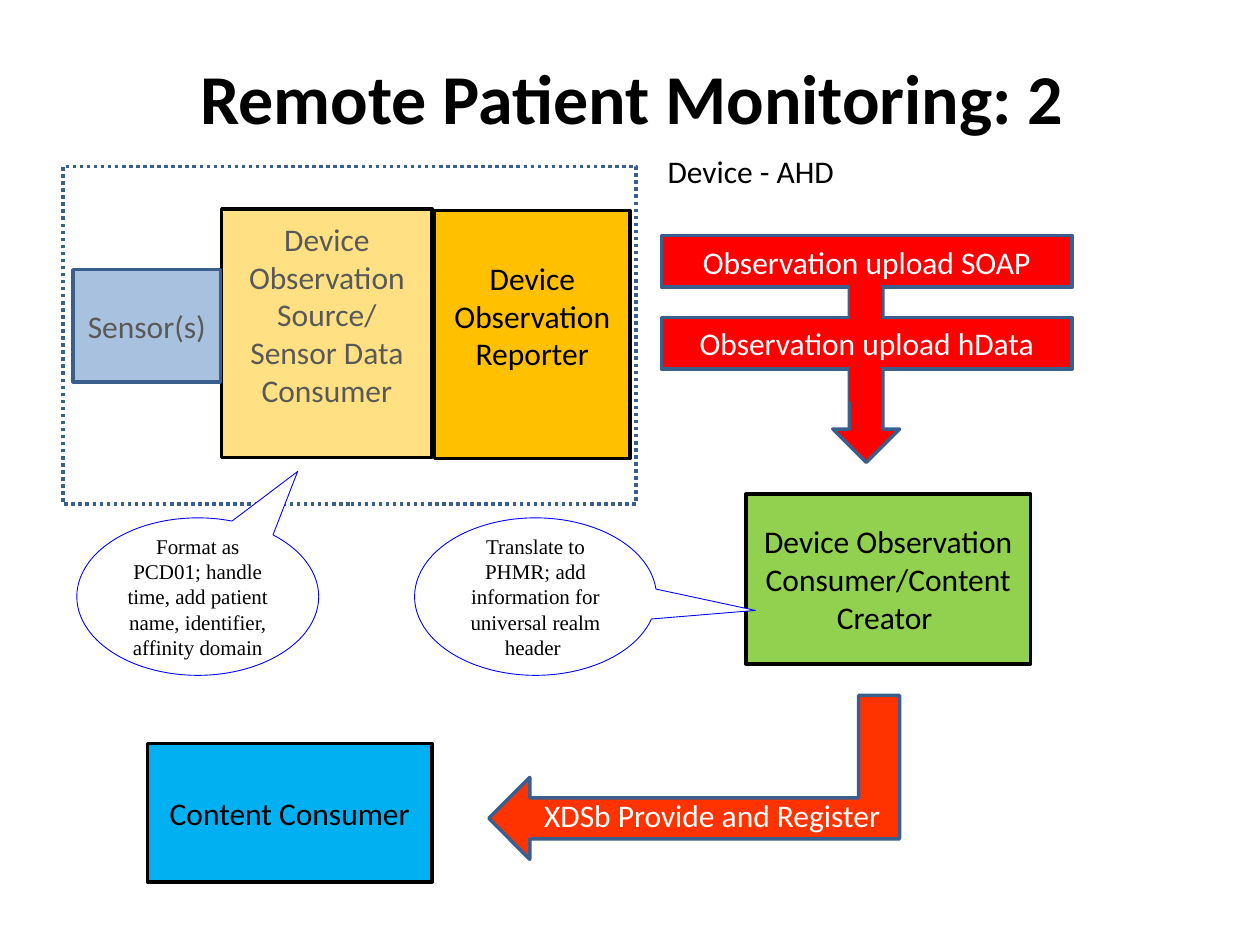
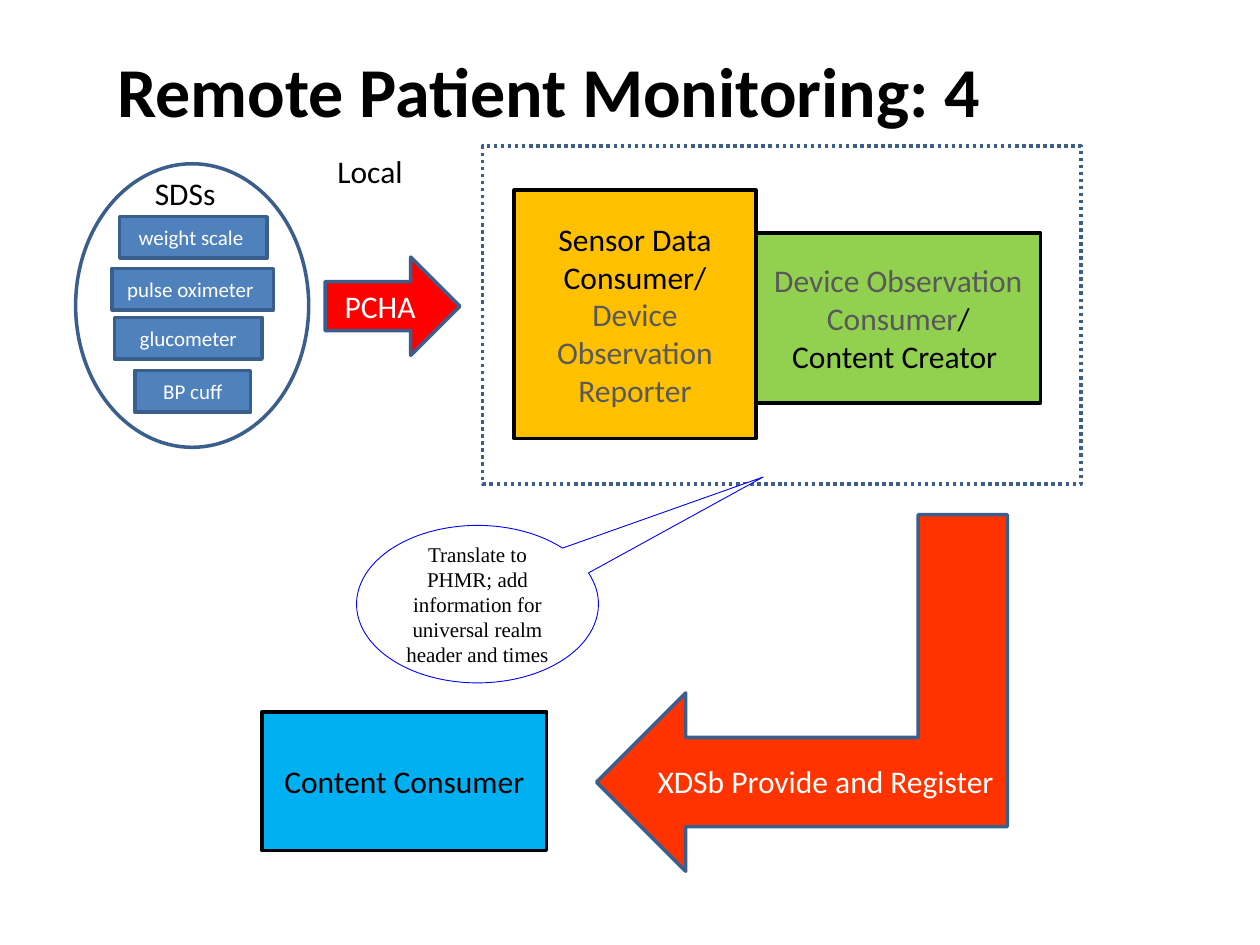
from pptx import Presentation
from pptx.dml.color import RGBColor
from pptx.enum.dml import MSO_LINE
from pptx.enum.shapes import MSO_SHAPE as KIND
from pptx.enum.text import MSO_ANCHOR, MSO_AUTO_SIZE, PP_ALIGN
from pptx.oxml.ns import qn
from pptx.util import Emu, Pt
from lxml.etree import SubElement

SCALE = 9144  # 100 px to the inch
BLACK, WHITE, GREY = "000000", "FFFFFF", "595959"
AMBER, GREEN, CYAN = "FFC000", "92D050", "00B0F0"
RED, FLAME, BLUE = "FF0000", "FF3300", "4F81BD"
EDGE, INK = "3A5F8C", "0000FF"
SANS, SERIF = "Calibri", "Times New Roman"
BENT = "XDSb Provide and Register"


def px(num):
    return Emu(num * SCALE)


def rgb(code):
    return RGBColor.from_string(code)


class Deck:
    def __init__(self):
        self.prs = Presentation()
        self.prs.slide_width, self.prs.slide_height = px(1000), px(750)
        self.slide = None

    def place(self, item, box):
        item.left, item.top, item.width, item.height = map(px, box)

    def style(self, para, size, color, font=SANS, bold=False):
        para.font.size, para.font.name, para.font.bold = Pt(size), font, bold
        if color:
            para.font.color.rgb = rgb(color)

    def title(self, text, box):
        layout = self.prs.slide_layouts[5]
        self.slide = self.prs.slides.add_slide(layout)
        head = self.slide.shapes.title
        self.place(head, box)
        frame = head.text_frame
        frame.text = text
        frame.word_wrap = False
        frame.auto_size = MSO_AUTO_SIZE.NONE
        frame.vertical_anchor = MSO_ANCHOR.TOP
        frame.paragraphs[0].alignment = PP_ALIGN.LEFT
        self.style(frame.paragraphs[0], 40, BLACK, bold=True)

    def label(self, text, box, color=BLACK):
        frame = self.slide.shapes.add_textbox(*map(px, box)).text_frame
        frame.word_wrap = False
        frame.text = text
        self.style(frame.paragraphs[0], 18, color)

    def shape(self, kind, box, fill=None, line=EDGE, width=2, alpha=None):
        item = self.slide.shapes.add_shape(kind, *map(px, box))
        item.shadow.inherit = False
        item.line.color.rgb = rgb(line)
        item.line.width = Pt(width)
        if fill is None:
            item.fill.background()
            return item
        item.fill.solid()
        item.fill.fore_color.rgb = rgb(fill)
        if alpha:
            tone = item._element.spPr.find(qn("a:solidFill"))[0]
            SubElement(tone, qn("a:alpha")).set("val", str(alpha * 1000))
        return item

    def letter(self, item, paras, color=BLACK, size=18, font=SANS, foot=5):
        """Each paragraph is a string or a list of (text, colour) runs."""
        frame = item.text_frame
        frame.word_wrap = True
        frame.vertical_anchor = MSO_ANCHOR.MIDDLE
        frame.margin_bottom = px(foot)
        for i, part in enumerate(paras):
            para = frame.add_paragraph() if i else frame.paragraphs[0]
            para.alignment = PP_ALIGN.CENTER
            if isinstance(part, str):
                para.add_run().text = part
                self.style(para, size, color, font)
                continue
            self.style(para, size, None, font)
            for text, tint in part:
                run = para.add_run()
                run.text = text
                run.font.color.rgb = rgb(tint)

    def block(self, paras, box, fill, line=BLACK, alpha=None, **text):
        item = self.shape(KIND.RECTANGLE, box, fill, line, alpha=alpha)
        self.letter(item, paras, **text)

    def frame(self, box):
        self.shape(KIND.RECTANGLE, box).line.dash_style = MSO_LINE.ROUND_DOT

    def bubble(self, text, left, top, tip):
        item = self.shape(KIND.OVAL_CALLOUT, (left, top, 192, 125),
                          WHITE, INK, 0.5)
        item.adjustments[0], item.adjustments[1] = tip
        self.letter(item, [text], size=12, font=SERIF)

    def bend(self, box):
        item = self.shape(KIND.BENT_UP_ARROW, box, FLAME)
        item.rotation = 90
        item._element.spPr.find(qn("a:xfrm")).set("flipV", "1")


def upload(deck):
    deck.title("Remote Patient Monitoring: 2", (149, 38, 713, 77))
    # Device parts
    deck.block(["Device Observation Source/", "Sensor Data Consumer"],
               (176, 166, 167, 197), AMBER, alpha=49, color=GREY, foot=35)
    deck.block(["Sensor(s)"], (58, 214, 117, 89), BLUE, EDGE, alpha=49,
               color=GREY)
    deck.label("Device - AHD", (520, 116, 154, 40))
    deck.block(["Device Observation Consumer/Content Creator "],
               (592, 392, 226, 135), GREEN)
    deck.block(["Content Consumer"], (117, 590, 226, 110), CYAN)
    deck.frame((50, 132, 455, 268))
    # Upload arrow through two bars
    deck.shape(KIND.DOWN_ARROW, (661, 228, 53, 139), RED)
    for text, top in (("SOAP", 187), ("hData", 252)):
        deck.block([f"Observation upload {text}"], (525, top, 326, 41),
                   RED, EDGE, color=WHITE)
    for box in ((675, 293, 23, 25), (676, 226, 23, 28)):
        deck.shape(KIND.RECTANGLE, box, RED, RED)
    # Register arrow
    deck.bend((486, 454, 130, 326))
    deck.label(BENT, (422, 627, 296, 40), WHITE)
    # Remarks
    deck.bubble("Format as PCD01; handle time, add patient name, "
                "identifier, affinity domain", 61, 411, (0.413, -0.795))
    deck.bubble("Translate to PHMR; add information for universal realm "
                "header ", 329, 411, (0.909, 0.088))
    deck.block(["Device Observation Reporter"], (345, 167, 155, 197),
               AMBER, foot=35)


def local(deck):
    deck.title("Remote Patient Monitoring: 4", (83, 33, 713, 77))
    deck.block([[("Sensor Data Consumer/ ", BLACK),
                 ("Device Observation Reporter", GREY)]],
               (408, 151, 192, 197), AMBER)
    # Sensors
    for text, left, top, wide in (("pulse oximeter ", 89, 213, 128),
                                  ("weight scale ", 95, 172, 117),
                                  ("BP cuff", 107, 294, 92),
                                  ("glucometer", 91, 252, 117)):
        deck.block([text], (left, top, wide, 33), BLUE, EDGE,
                   color=WHITE, size=12)
    deck.shape(KIND.OVAL, (60, 130, 185, 225))
    deck.label("SDSs", (113, 133, 69, 40))
    # Consumers
    deck.block([[("Device Observation Consumer", GREY), ("/", BLACK)],
                "Content Creator "], (600, 185, 226, 135), GREEN)
    deck.block(["Content Consumer"], (208, 565, 226, 110), CYAN)
    deck.frame((383, 116, 475, 268))
    deck.label("Local", (258, 116, 73, 40))
    # Arrows
    arrow = deck.shape(KIND.RIGHT_ARROW, (258, 204, 107, 78), RED)
    deck.letter(arrow, ["PCHA"], WHITE)
    deck.bend((495, 387, 283, 326))
    deck.label(BENT, (512, 600, 288, 40), WHITE)
    # Remark
    deck.bubble("Translate to PHMR; add information for universal realm "
                "header and times ", 283, 417, (1.181, -0.808))


def main():
    deck = Deck()
    upload(deck)
    local(deck)
    deck.prs.save("out.pptx")


if __name__ == "__main__":
    main()
